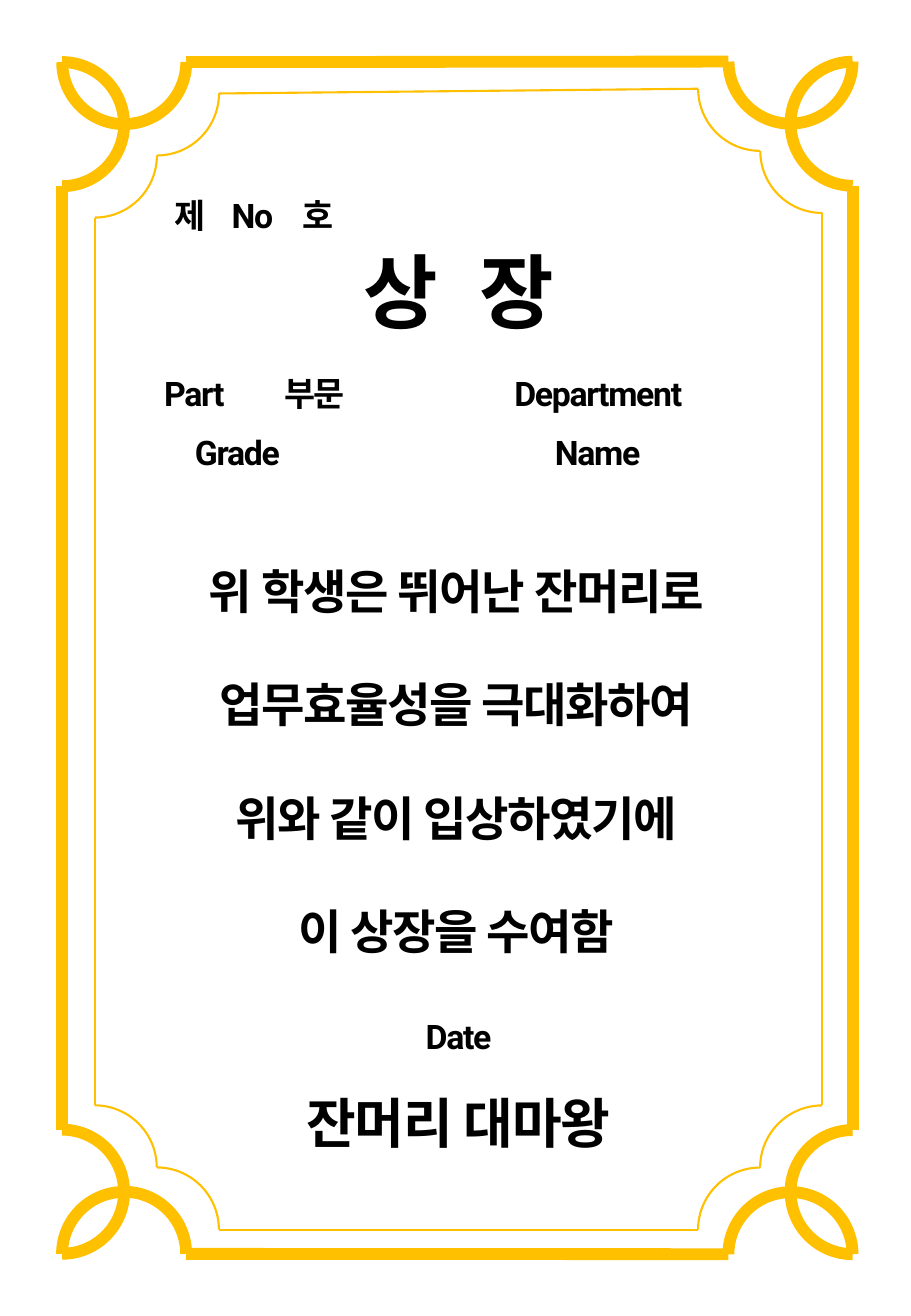
from dataclasses import dataclass

from lxml import etree
from pptx import Presentation
from pptx.dml.color import RGBColor
from pptx.enum.shapes import MSO_CONNECTOR, MSO_SHAPE
from pptx.enum.text import MSO_ANCHOR, MSO_AUTO_SIZE, PP_ALIGN
from pptx.oxml.ns import qn
from pptx.util import Pt

ARC = MSO_SHAPE.ARC
LINE = MSO_CONNECTOR.STRAIGHT
LEFT = PP_ALIGN.LEFT
CENTER = PP_ALIGN.CENTER
TOP = MSO_ANCHOR.TOP
GROW = MSO_AUTO_SIZE.SHAPE_TO_FIT_TEXT


@dataclass(frozen=True)
class Theme:
    gold: RGBColor = RGBColor(0xFF, 0xC0, 0x00)
    ink: RGBColor = RGBColor(0, 0, 0)
    font: str = "Roboto"
    label: int = 20
    body: int = 28
    sign: int = 32
    title: int = 48
    thick: float = 7
    thin: float = 1.25
    inset: float = 4.3
    radius: float = 36.8


THEME = Theme()

OUTER = [(36.8, 36.8), (505.4, 36.5), (505.4, 743.2), (36.8, 743)]
INNER = [(56.2, 55.4), (487.4, 52.6), (487.4, 728.6), (56.2, 728.6)]

LABELS = [
    ("No", 113, 110.9, 73.4),
    ("Part", 68.4, 216.7, 93.6),
    ("부문", 149.8, 216.7, 73.4),
    ("Department", 267.1, 216.7, 175),
    ("Grade", 65.5, 251.3, 150.5),
    ("Name", 267.1, 251.3, 174.2),
    ("Date", 162, 597.6, 219.6),
]

BODY = [
    "위 학생은 뛰어난 잔머리로",
    "업무효율성을 극대화하여",
    "위와 같이 입상하였기에",
    "이 상장을 수여함",
]


def draw_arc(slide, x, y, turn, width):
    r = THEME.radius
    arc = slide.shapes.add_shape(ARC, Pt(x - r), Pt(y - r), Pt(2 * r), Pt(2 * r))
    arc.rotation = turn % 360
    arc.shadow.inherit = False
    arc.fill.background()
    arc.line.color.rgb = THEME.gold
    arc.line.width = Pt(width)


def draw_line(slide, start, end, width):
    line = slide.shapes.add_connector(LINE, *[Pt(v) for v in (*start, *end)])
    line.line.color.rgb = THEME.gold
    line.line.width = Pt(width)
    etree.SubElement(line._element.spPr, qn("a:effectLst"))


def draw_frame(slide, corners, width, loops):
    r = THEME.radius
    for i, (x, y) in enumerate(corners):
        across = r if i in (0, 3) else -r
        down = r if i < 2 else -r
        turn = 90 * (i + 1)
        step = -90 if i % 2 == 0 else 90
        side, edge = (x, y + down), (x + across, y)
        arcs = [(side, turn), (edge, turn)]
        if loops:
            arcs += [(side, turn + step), (edge, turn - step)]
        for spot, angle in arcs:
            draw_arc(slide, *spot, angle, width)

        end_x, end_y = corners[(i + 1) % 4]
        if i % 2 == 0:
            ends = (x + 2 * across, y), (end_x - 2 * across, end_y)
        else:
            ends = (x, y + 2 * down), (end_x, end_y - 2 * down)
        draw_line(slide, *ends, width)


def set_text(shape, text, box, size, space=1, tab=None):
    shape.left, shape.top, shape.width, shape.height = [Pt(v) for v in box]
    frame = shape.text_frame
    frame.text = text
    frame.word_wrap = True
    frame.auto_size = GROW
    frame.vertical_anchor = TOP
    frame.margin_left = frame.margin_right = Pt(THEME.inset)
    frame.margin_top = frame.margin_bottom = Pt(THEME.inset)
    for para in frame.paragraphs:
        para.alignment = LEFT if tab else CENTER
        para.line_spacing = space
        if tab:
            tabs = etree.SubElement(para._p.get_or_add_pPr(), qn("a:tabLst"))
            etree.SubElement(tabs, qn("a:tab"), pos=str(Pt(tab)), algn="l")
        for run in para.runs:
            run.font.size = Pt(size)
            run.font.bold = True
            run.font.color.rgb = THEME.ink
            run.font.name = THEME.font
            props = run._r.get_or_add_rPr()
            props.set("spc", "-80")
            etree.SubElement(props, qn("a:ea"), typeface=THEME.font)


def add_text(slide, text, box, size, space=1, tab=None):
    shape = slide.shapes.add_textbox(*[Pt(v) for v in box])
    set_text(shape, text, box, size, space, tab)


def main():
    deck = Presentation()
    deck.slide_width, deck.slide_height = Pt(540), Pt(779.8)
    slide = deck.slides.add_slide(deck.slide_layouts[5])

    draw_frame(slide, OUTER, THEME.thick, True)
    draw_frame(slide, INNER, THEME.thin, False)

    title = slide.shapes.title
    set_text(title, "상\t장", (211, 139, 130, 66.2), THEME.title, tab=69)
    add_text(slide, "제\t호", (99, 110.9, 112, 32.4), THEME.label, tab=76)
    for text, x, y, width in LABELS:
        add_text(slide, text, (x, y, width, 32.4), THEME.label)
    add_text(slide, "\n".join(BODY), (72.7, 295.2, 395.3, 270), THEME.body, space=2)
    add_text(slide, "잔머리 대마왕", (137.5, 641.5, 268.6, 46.8), THEME.sign)

    deck.save("out.pptx")


if __name__ == "__main__":
    main()
